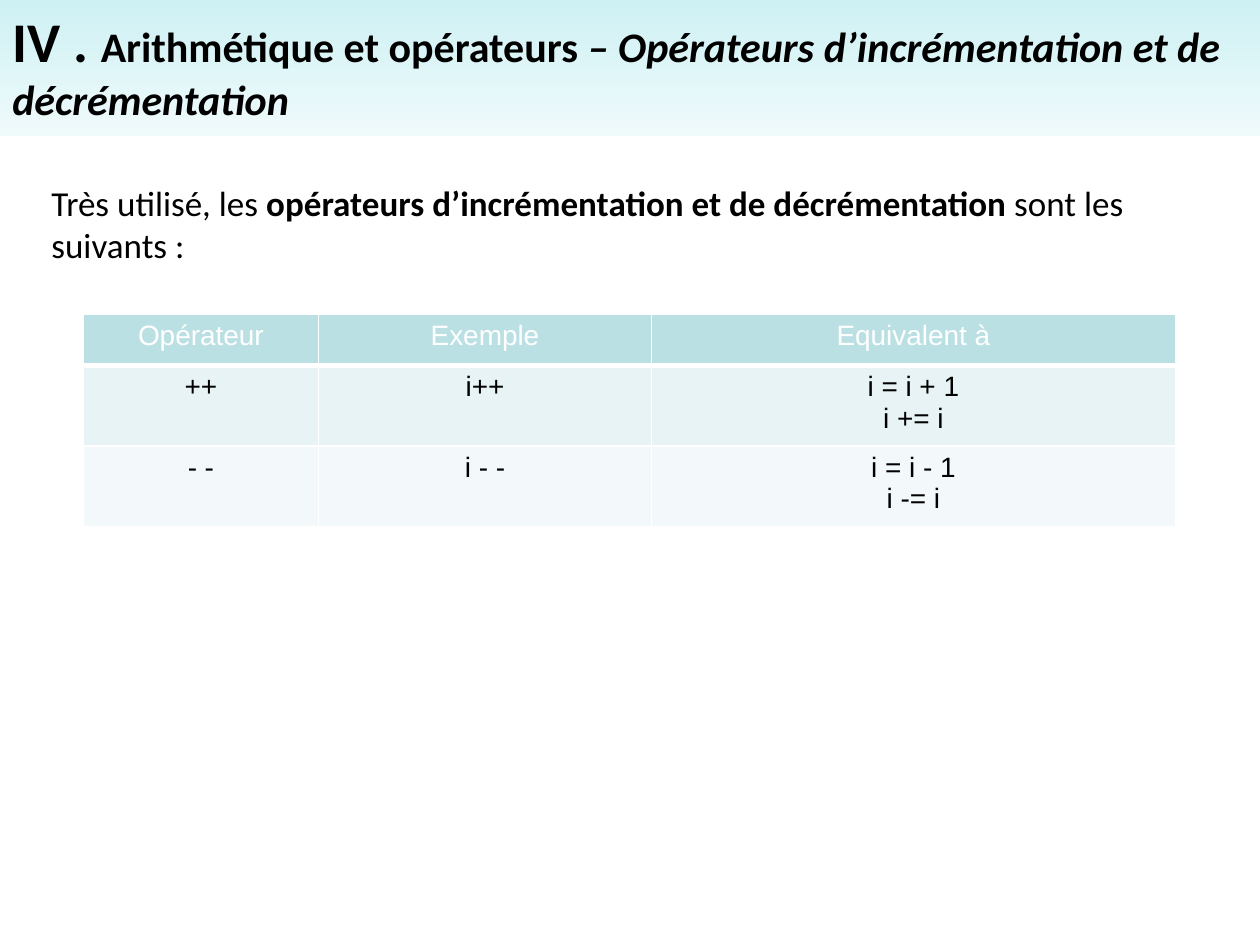
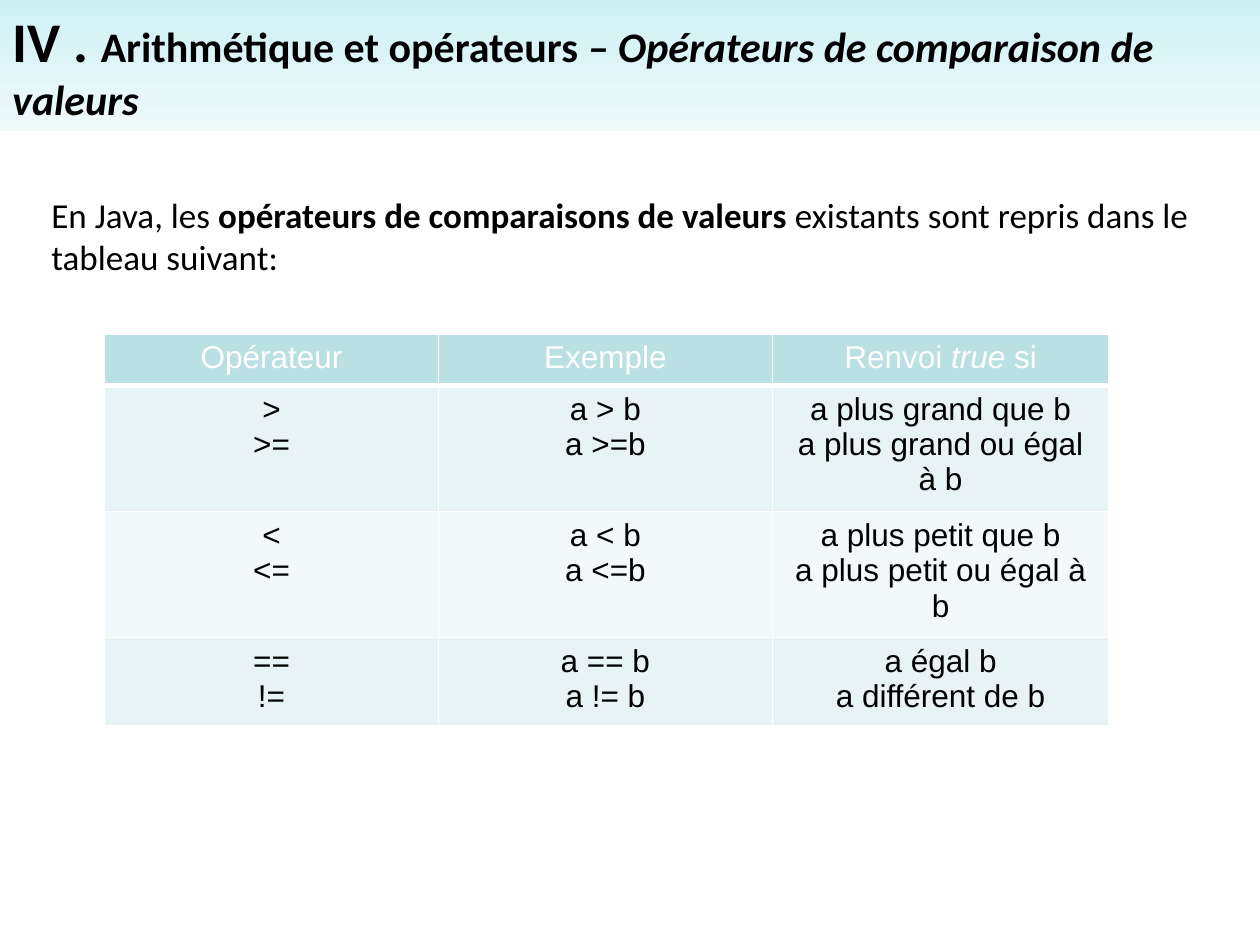
from lxml import etree
from pptx import Presentation
from pptx.dml.color import RGBColor
from pptx.enum.shapes import MSO_SHAPE
from pptx.enum.text import MSO_ANCHOR, PP_ALIGN
from pptx.oxml.ns import qn
from pptx.util import Inches, Pt

RECTANGLE = MSO_SHAPE.RECTANGLE
TOP = MSO_ANCHOR.TOP
LEFT, CENTER = PP_ALIGN.LEFT, PP_ALIGN.CENTER

BLACK, WHITE = "000000", "FFFFFF"
BAND_TOP, BAND_BOTTOM = "CEF1F4", "EFFAFB"
HEADER_FILL = "BBE0E3"
ROW_FILLS = ("E7F3F4", "F3F9FA")
TEXT_FONT, TABLE_FONT = "Calibri", "Arial"
BLANK_LAYOUT = 6


def color(value):
    return RGBColor.from_string(value)


def add_span(para, text, font=TEXT_FONT, size=20, hue=BLACK, bold=False, italic=False):
    span = para.add_run()
    span.text = text
    span.font.name = font
    span.font.size = Pt(size)
    span.font.color.rgb = color(hue)
    span.font.bold = bold
    span.font.italic = italic


def draw_borders(cell, bottom_width):
    """Give the cell white edges; call before the fill is set."""
    properties = cell._tc.get_or_add_tcPr()
    for side, width in (("L", 1), ("R", 1), ("T", 1), ("B", bottom_width)):
        line = etree.SubElement(properties, qn(f"a:ln{side}"), w=str(Pt(width)))
        solid = etree.SubElement(line, qn("a:solidFill"))
        etree.SubElement(solid, qn("a:srgbClr"), val=WHITE)


class Course:
    """The deck's style and the page being filled."""

    def __init__(self):
        self.deck = Presentation()
        self.deck.slide_width, self.deck.slide_height = Inches(10), Inches(7.5)
        self.page = None

    def add_page(self, topic, band_height):
        self.page = self.deck.slides.add_slide(self.deck.slide_layouts[BLANK_LAYOUT])
        band = self.page.shapes.add_shape(RECTANGLE, 0, 0, Inches(10), Inches(band_height))
        band.shadow.inherit = False
        band.line.fill.background()
        band.fill.gradient()
        band.fill.gradient_angle = 270
        for stop, hue in zip(band.fill.gradient_stops, (BAND_TOP, BAND_BOTTOM)):
            stop.color.rgb = color(hue)
        for position, stop in enumerate(band.fill.gradient_stops):
            stop.position = position
        frame = band.text_frame
        frame.word_wrap = True
        frame.vertical_anchor = TOP
        para = frame.paragraphs[0]
        para.alignment = LEFT
        add_span(para, "IV . ", size=32, bold=True)
        add_span(para, "Arithmétique et opérateurs ", size=24, bold=True)
        add_span(para, f"– {topic}", size=24, bold=True, italic=True)

    def add_intro(self, top, start, key_words, end):
        box = self.page.shapes.add_textbox(Inches(0.31), Inches(top), Inches(9.3), Inches(0.77))
        box.text_frame.word_wrap = True
        para = box.text_frame.paragraphs[0]
        add_span(para, start)
        add_span(para, key_words, bold=True)
        add_span(para, end)

    def add_table(self, left, top, widths, heights, rows, size):
        """Each cell is a list of lines, each line a text or a list of (text, italic)."""
        table = self.page.shapes.add_table(
            len(rows), len(widths), Inches(left), Inches(top),
            Inches(sum(widths)), Inches(sum(heights))).table
        for column, width in zip(table.columns, widths):
            column.width = Inches(width)
        for index, (row, height) in enumerate(zip(rows, heights)):
            table.rows[index].height = Inches(height)
            header = index == 0
            fill = HEADER_FILL if header else ROW_FILLS[(index - 1) % 2]
            for cell, lines in zip(table.rows[index].cells, row):
                draw_borders(cell, 3 if header else 1)
                cell.fill.solid()
                cell.fill.fore_color.rgb = color(fill)
                self.fill_cell(cell, lines, size, WHITE if header else BLACK)

    def fill_cell(self, cell, lines, size, hue):
        frame = cell.text_frame
        for number, line in enumerate(lines):
            para = frame.add_paragraph() if number else frame.paragraphs[0]
            para.alignment = CENTER
            for text, italic in [(line, False)] if isinstance(line, str) else line:
                add_span(para, text, font=TABLE_FONT, size=size, hue=hue, italic=italic)


def main():
    course = Course()

    course.add_page("Opérateurs d’incrémentation et de décrémentation", 1.08)
    course.add_intro(1.39, "Très utilisé, les ",
                     "opérateurs d’incrémentation et de décrémentation ",
                     "sont les suivants :")
    course.add_table(0.66, 2.49, (1.87, 2.64, 4.16), (0.41, 0.64, 0.64), [
        (["Opérateur"], ["Exemple"], ["Equivalent à"]),
        (["++"], ["i++"], ["i = i + 1", "i += i"]),
        (["- -"], ["i - -"], ["i = i - 1", "i -= i"]),
    ], size=16)

    course.add_page("Opérateurs de comparaison de valeurs", 1.04)
    course.add_intro(1.49, "En Java, les ",
                     "opérateurs de comparaisons de valeurs ",
                     "existants sont repris dans le tableau suivant:")
    true_heading = [("Renvoi ", False), ("true", True), (" si", False)]
    course.add_table(0.83, 2.65, (2.65, 2.65, 2.67), (0.41, 1, 1, 0.7), [
        (["Opérateur"], ["Exemple"], [true_heading]),
        ([">", ">="], ["a > b", "a >=b"],
         ["a plus grand que b", "a plus grand ou égal à b"]),
        (["<", "<="], ["a < b", "a <=b"],
         ["a plus petit que b", "a plus petit ou égal à b"]),
        (["==", "!="], ["a == b", "a != b"], ["a égal b", "a différent de b"]),
    ], size=18)

    course.deck.save("out.pptx")


if __name__ == "__main__":
    main()
